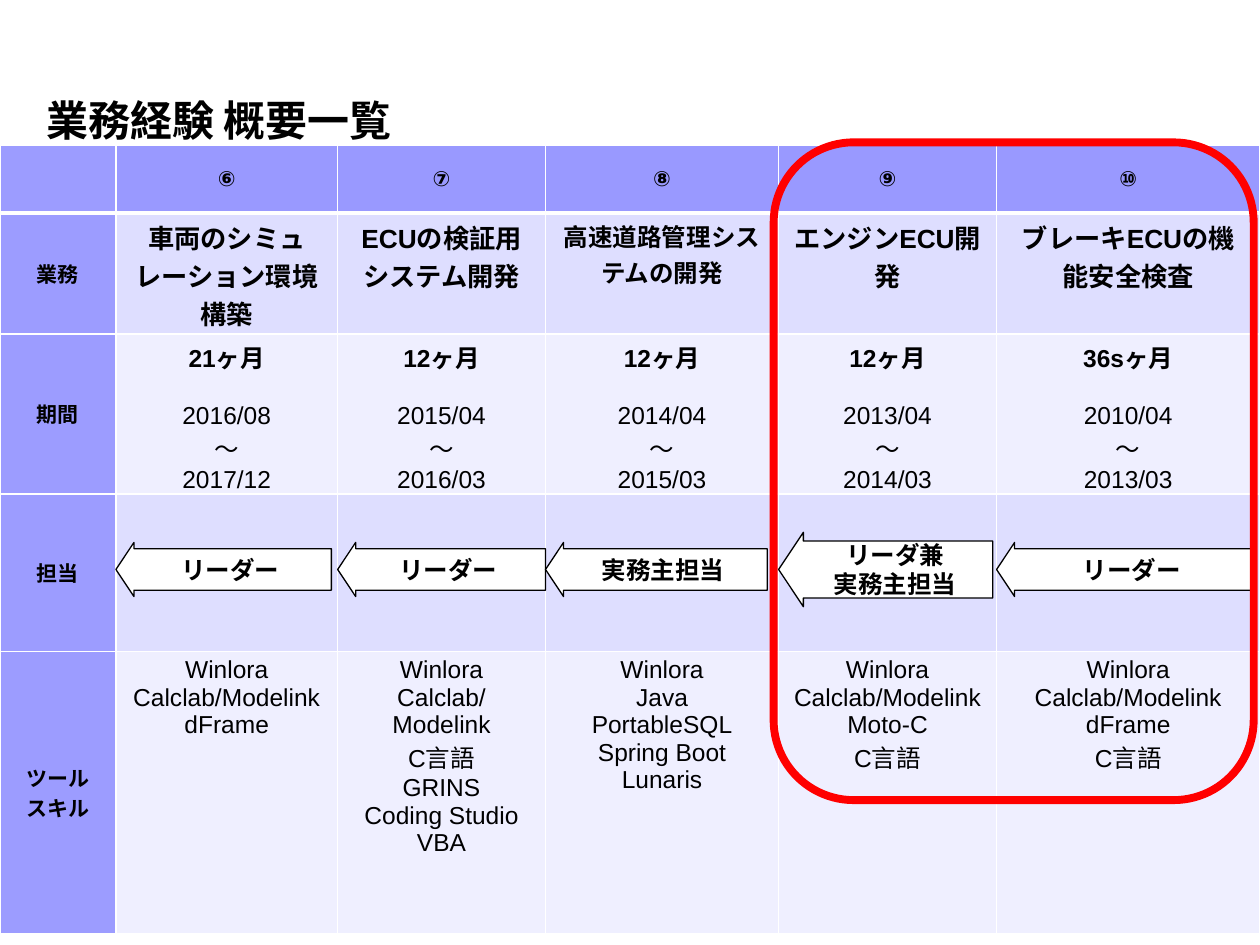
from dataclasses import dataclass
from itertools import accumulate

from pptx import Presentation
from pptx.dml.color import RGBColor
from pptx.enum import shapes, text
from pptx.oxml.ns import qn
from pptx.util import Inches, Pt
from lxml import etree


@dataclass(frozen=True)
class Theme:
    latin: str = "Arial"
    japanese: str = "Noto Sans CJK JP"
    black: str = "000000"
    white: str = "FFFFFF"
    red: str = "FF0000"
    header: str = "9999FF"
    label: str = "9C9CFF"
    dark_band: str = "DEDEFF"
    light_band: str = "EFEFFF"
    title_size: int = 24
    label_size: int = 12
    job_size: int = 15
    body_size: int = 14


THEME = Theme()
TABLE_TOP = 1.15
COLUMNS = [0.92, 1.76, 1.65, 1.85, 1.73, 2.09]
ROWS = [0.54, 0.96, 1.27, 1.25, 2.24]
COLUMN_LEFTS = [0, *accumulate(COLUMNS)]
ARROW_MIDDLE = 4.52

LABELS = [[], ["業務"], ["期間"], ["担当"], ["ツール", "スキル"]]
BANDS = [THEME.header, THEME.dark_band, THEME.light_band, THEME.dark_band, THEME.light_band]


@dataclass(frozen=True)
class Project:
    number: str
    job: str
    months: str
    start: str
    end: str
    role: list
    tools: list
    arrow_width: float
    arrow_height: float = 0.43
    job_size: int = THEME.job_size


PROJECTS = [
    Project("⑥", "車両のシミュレーション環境構築", "21ヶ月", "2016/08", "2017/12",
            ["リーダー"], ["Winlora", "Calclab/Modelink", "dFrame"], 1.71),
    Project("⑦", "ECUの検証用システム開発", "12ヶ月", "2015/04", "2016/03",
            ["リーダー"],
            ["Winlora", "Calclab/Modelink", "C言語", "GRINS", "Coding Studio", "VBA"], 1.65),
    Project("⑧", "高速道路管理システムの開発", "12ヶ月", "2014/04", "2015/03",
            ["実務主担当"],
            ["Winlora", "Java", "PortableSQL", "Spring Boot", "Lunaris"], 1.76,
            job_size=THEME.body_size),
    Project("⑨", "エンジンECU開発", "12ヶ月", "2013/04", "2014/03",
            ["リーダ兼", "実務主担当"],
            ["Winlora", "Calclab/Modelink", "Moto-C", "C言語"], 1.7, 0.59),
    Project("⑩", "ブレーキECUの機能安全検査", "36sヶ月", "2010/04", "2013/03",
            ["リーダー"], ["Winlora", "Calclab/Modelink", "dFrame", "C言語"], 2.04),
]


def color(value):
    return RGBColor.from_string(value)


def apply(target, values):
    for name, value in values.items():
        setattr(target, name, value)


def write(frame, lines, size, bold=True, latin=THEME.latin, align=text.PP_ALIGN.CENTER):
    for index, line in enumerate(lines):
        paragraph = frame.paragraphs[0] if index == 0 else frame.add_paragraph()
        paragraph.alignment = align
        run = paragraph.add_run()
        run.text = line
        apply(run.font, {"size": Pt(size), "bold": bold, "name": latin})
        run.font.color.rgb = color(THEME.black)
        east_asian = etree.SubElement(run.font._element, qn("a:ea"))
        east_asian.set("typeface", THEME.japanese)


def add_title(slide, title):
    shape = slide.shapes.add_textbox(Inches(0.27), Inches(0.7), Inches(3.27), Inches(0.5))
    shape.text_frame.word_wrap = False
    write(shape.text_frame, [title], THEME.title_size,
          latin=THEME.japanese, align=text.PP_ALIGN.LEFT)


def add_borders(cell, widths):
    properties = cell._tc.get_or_add_tcPr()
    for side, width in widths.items():
        line = etree.SubElement(properties, qn(f"a:ln{side}"), w=str(Pt(width)))
        fill = etree.SubElement(line, qn("a:solidFill"))
        etree.SubElement(fill, qn("a:srgbClr"), val=THEME.white)


def style_cell(cell, row, column):
    add_borders(cell, {"L": 1, "R": 1, "T": 3 if row == 1 else 1, "B": 3 if row == 0 else 1})
    cell.fill.solid()
    cell.fill.fore_color.rgb = color(BANDS[row] if column else THEME.label)
    centered = row == 0 or column == 0
    apply(cell, {
        "margin_top": Inches(0.04),
        "margin_bottom": Inches(0.04 if centered else 0),
        "vertical_anchor": text.MSO_ANCHOR.MIDDLE if centered else text.MSO_ANCHOR.TOP,
    })


def fill_project(table, column, project):
    frames = [table.cell(row, column).text_frame for row in range(len(ROWS))]
    write(frames[0], [project.number], THEME.label_size)
    write(frames[1], [project.job], project.job_size)
    write(frames[2], [project.months, project.start, "～", project.end],
          THEME.body_size, bold=False)
    duration = frames[2].paragraphs[0]
    duration.space_after = Pt(16)
    duration.runs[0].font.bold = True
    write(frames[4], project.tools, THEME.body_size, bold=False)


def add_experience_table(slide):
    table = slide.shapes.add_table(
        len(ROWS), len(COLUMNS), Inches(0), Inches(TABLE_TOP),
        Inches(sum(COLUMNS)), Inches(sum(ROWS))).table
    apply(table, {"first_row": False, "horz_banding": False})
    for column, width in zip(table.columns, COLUMNS):
        column.width = Inches(width)
    for row, height in zip(table.rows, ROWS):
        row.height = Inches(height)
    for row, label in enumerate(LABELS):
        for column in range(len(COLUMNS)):
            style_cell(table.cell(row, column), row, column)
        write(table.cell(row, 0).text_frame, label, THEME.label_size)
    for column, project in enumerate(PROJECTS, start=1):
        fill_project(table, column, project)


def add_outlined(slide, kind, left, top, width, height, line_color, line_width):
    shape = slide.shapes.add_shape(
        kind, Inches(left), Inches(top), Inches(width), Inches(height))
    shape.shadow.inherit = False
    shape.line.color.rgb = color(line_color)
    shape.line.width = Pt(line_width)
    return shape


def add_role_arrow(slide, left, project):
    height = project.arrow_height
    shape = add_outlined(slide, shapes.MSO_SHAPE.LEFT_ARROW, left, ARROW_MIDDLE - height / 2,
                         project.arrow_width, height, THEME.black, 0.75)
    shape.adjustments[0] = 0.764
    shape.adjustments[1] = 0.333
    shape.fill.solid()
    shape.fill.fore_color.rgb = color(THEME.white)
    apply(shape.text_frame, {"word_wrap": False, "vertical_anchor": text.MSO_ANCHOR.MIDDLE})
    write(shape.text_frame, project.role, THEME.body_size, latin=THEME.japanese)


def add_highlight(slide):
    shape = add_outlined(slide, shapes.MSO_SHAPE.ROUNDED_RECTANGLE,
                         6.14, 1.13, 3.81, 5.22, THEME.red, 4.5)
    shape.fill.background()


def main():
    presentation = Presentation()
    apply(presentation, {"slide_width": Inches(10), "slide_height": Inches(7.5)})
    slide = presentation.slides.add_slide(presentation.slide_layouts[6])
    add_title(slide, "業務経験 概要一覧")
    add_experience_table(slide)
    for left, project in zip(COLUMN_LEFTS[1:], PROJECTS):
        add_role_arrow(slide, left, project)
    add_highlight(slide)
    presentation.save("out.pptx")


main()
